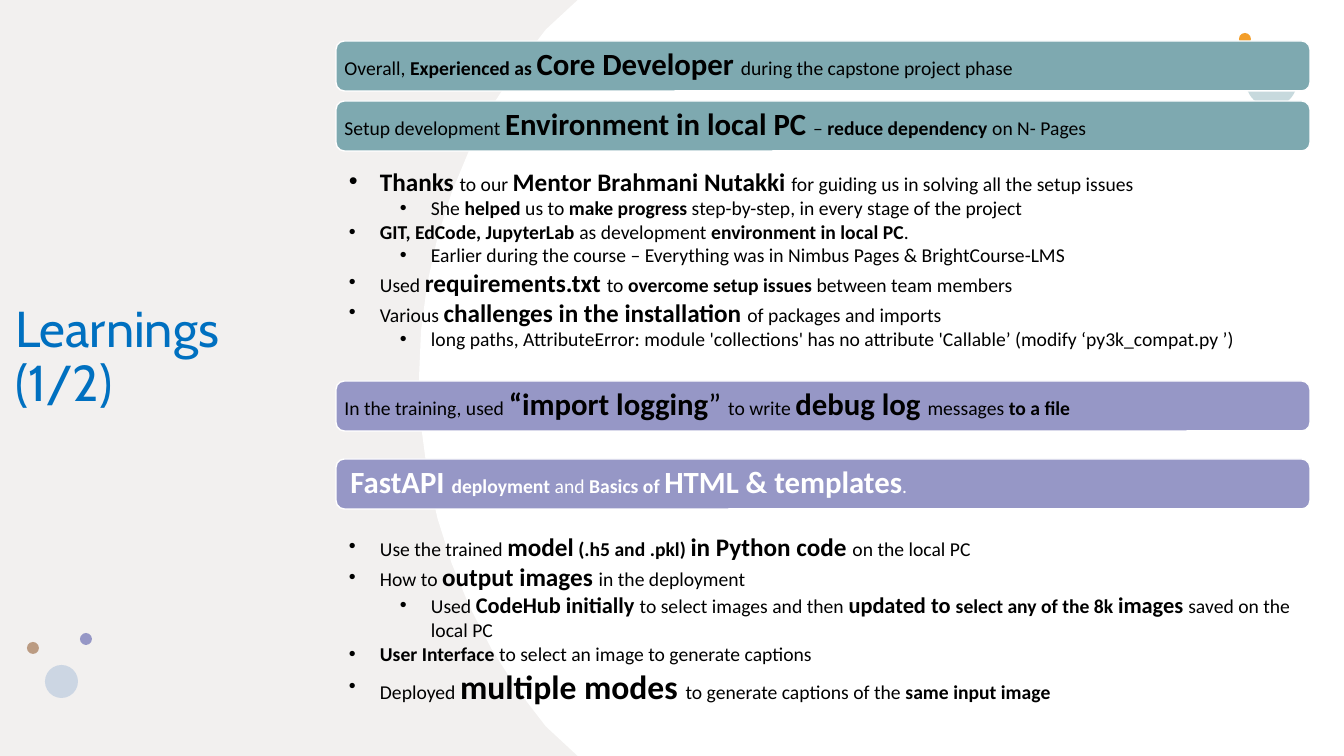
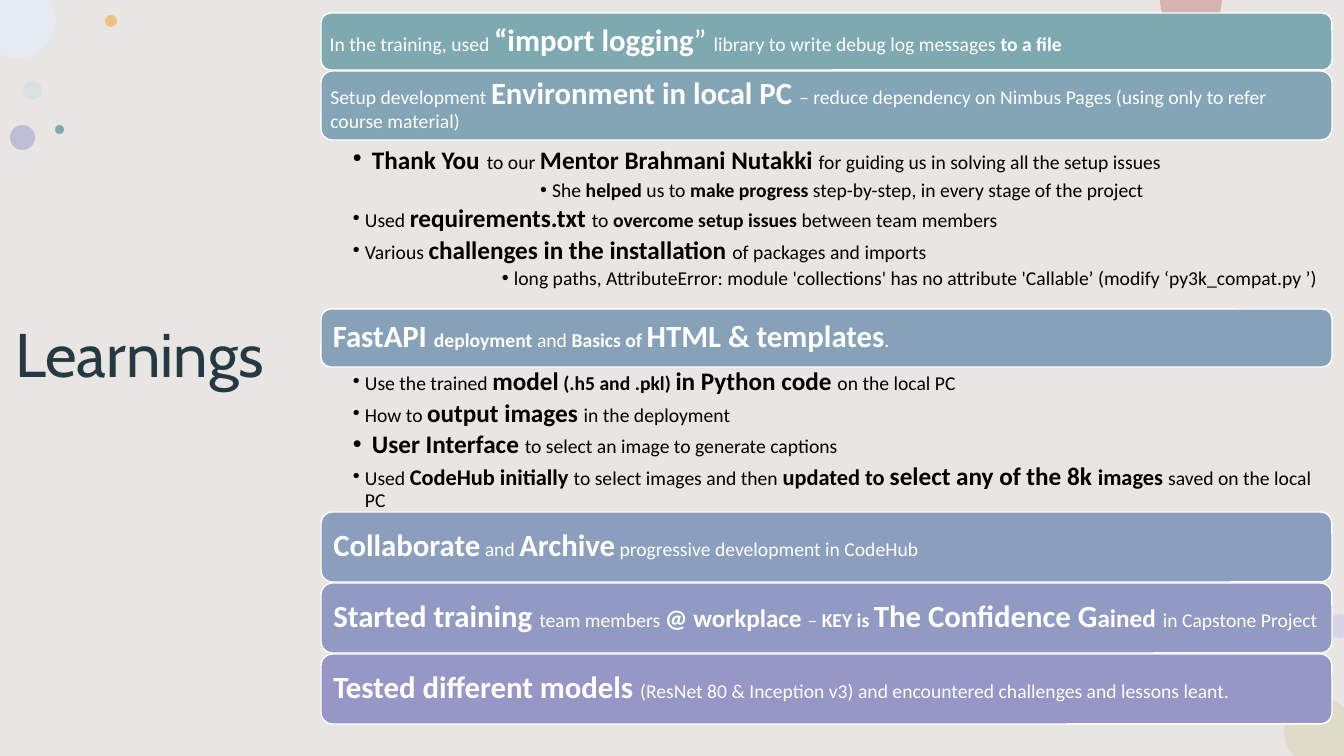
from math import cos, radians, sin

from lxml.etree import SubElement
from pptx import Presentation
from pptx.dml.color import RGBColor
from pptx.enum.shapes import MSO_SHAPE
from pptx.enum.text import MSO_ANCHOR, MSO_AUTO_SIZE, PP_ALIGN
from pptx.oxml.ns import qn
from pptx.util import Pt

COLORS = {
    "black": "000000", "white": "FFFFFF", "blue": "0070C0", "ink": "243941",
    "pale": "F2F0EF", "sand": "E8E5E2", "teal": "7EA9B0", "sea": "83A5B5",
    "steel": "87A1B9", "slate": "8C9EBE", "iris": "919AC2", "violet": "9697C6",
    "mist": "B2CBD0", "orange": "F39E29", "sky": "CCD6E3", "tan": "BB9B82",
    "foam": "CBDDDF", "ice": "E5EBF1", "rose": "D6B3B2", "lilac": "D5D5E8",
    "olive": "DEDBC8",
}
WIDTH, HEIGHT = 1344, 756


def plain(text, size=14):
    """Describe a regular run."""
    return text, size, False


def bold(text, size=14):
    """Describe a bold run."""
    return text, size, True


MENTOR = [plain("to our "), bold("Mentor Brahmani Nutakki ", 18),
          plain("for guiding us in solving all the setup issues")]
HELPED = [plain("She "), bold("helped"), plain(" us to "), bold("make progress"),
          plain(" step-by-step, in every stage of the project")]
REQUIREMENTS = [plain("Used "), bold("requirements.txt ", 18), plain("to "),
                bold("overcome setup issues "), plain("between team members")]
CHALLENGES = [plain("Various "), bold("challenges in the installation ", 18),
              plain("of packages and imports")]
LONG_PATHS = [plain("long paths, AttributeError: module 'collections' has no "
                    "attribute 'Callable’ (modify ‘py3k_compat.py ’)")]
LOGGING = [plain("In the training, used "), bold("“import logging", 22), plain("” ", 22)]
ENVIRONMENT = [plain("Setup development "), bold("Environment in local PC ", 22)]
FASTAPI = [bold("FastAPI ", 22), bold("deployment "), plain("and "), bold("Basics of "),
           bold("HTML & templates", 22), plain(".")]
MODEL = [plain("Use the trained "), bold("model", 18), bold(" (.h5 and .pkl) "),
         bold("in Python code ", 18), plain("on the local PC")]
OUTPUT = [plain("How to "), bold("output images ", 18), plain("in the deployment")]
CAPTIONS = plain("to select an image to generate captions")


def image_choice(size):
    """Return the image selection runs with the given emphasis size."""
    return [plain("Used "), bold("CodeHub initially ", 16),
            plain("to select images and then "), bold("updated to ", 16),
            bold("select any of the 8k ", size), bold("images ", 16),
            plain("saved on the local PC")]


class Deck:
    """Hold the shared style and the current slide."""

    EMU = 914400 / 100.8

    def __init__(self):
        """Start a presentation at the right size."""
        self.presentation = Presentation()
        self.presentation.slide_width = self.px(WIDTH)
        self.presentation.slide_height = self.px(HEIGHT)
        self.slide = None

    def px(self, *lengths):
        """Turn pixels into EMU."""
        values = [round(length * self.EMU) for length in lengths]
        return values if len(values) > 1 else values[0]

    def color(self, name):
        """Look up a colour."""
        return RGBColor.from_string(COLORS[name])

    def start(self, background, lines, size, color):
        """Add a slide with its background and title."""
        self.slide = self.presentation.slides.add_slide(self.presentation.slide_layouts[5])
        fill = self.slide.background.fill
        fill.solid()
        fill.fore_color.rgb = self.color(background)
        title = self.slide.shapes.title
        title.left, title.top, title.width, title.height = self.px(5, 74, 316, 568)
        frame = title.text_frame
        frame.auto_size = MSO_AUTO_SIZE.NONE
        frame.word_wrap = True
        frame.vertical_anchor = MSO_ANCHOR.MIDDLE
        paragraph = frame.paragraphs[0]
        paragraph.alignment = PP_ALIGN.LEFT
        paragraph.line_spacing = 0.9
        for index, line in enumerate(lines):
            if index:
                paragraph.add_line_break()
            self.run(paragraph, (line, size, False), color, "Cabin")

    def run(self, paragraph, content, color, font="Calibri"):
        """Add one formatted run."""
        text, size, strong = content
        run = paragraph.add_run()
        run.text = text
        run.font.name = font
        run.font.size = Pt(size)
        run.font.bold = strong
        run.font.color.rgb = self.color(color)

    def paint(self, shape, color, opacity=100):
        """Fill a shape without line or shadow."""
        shape.shadow.inherit = False
        shape.fill.solid()
        shape.fill.fore_color.rgb = self.color(color)
        shape.line.fill.background()
        if opacity < 100:
            shade = shape.element.spPr.find(".//" + qn("a:srgbClr"))
            SubElement(shade, qn("a:alpha"), val=str(opacity * 1000))

    def dot(self, left, top, size, color, opacity=100):
        """Draw a whole circle."""
        shape = self.slide.shapes.add_shape(MSO_SHAPE.OVAL, *self.px(left, top, size, size))
        self.paint(shape, color, opacity)

    def cropped_circle(self, x, y, radius, color, step=15):
        """Draw a circle cut off by the slide edges."""
        points = []
        for degree in range(0, 360, step):
            across = x + radius * cos(radians(degree))
            down = y + radius * sin(radians(degree))
            point = self.px(min(max(across, 0), WIDTH), min(max(down, 0), HEIGHT))
            if point not in points:
                points.append(point)
        builder = self.slide.shapes.build_freeform(*points[0], scale=1.0)
        builder.add_line_segments(points[1:], close=True)
        self.paint(builder.convert_to_shape(), color)

    def bar(self, box, fill, runs, color="white", inset=9):
        """Draw a rounded bar holding one paragraph."""
        shape = self.slide.shapes.add_shape(MSO_SHAPE.ROUNDED_RECTANGLE, *self.px(*box))
        self.paint(shape, fill)
        shape.line.color.rgb = self.color("white")
        shape.line.width = Pt(1)
        frame = shape.text_frame
        frame.word_wrap = True
        frame.vertical_anchor = MSO_ANCHOR.MIDDLE
        frame.margin_left = frame.margin_right = self.px(inset)
        frame.margin_top = frame.margin_bottom = self.px(6)
        paragraph = frame.paragraphs[0]
        paragraph.alignment = PP_ALIGN.LEFT
        paragraph.line_spacing = 0.9
        for content in runs:
            self.run(paragraph, content, color)

    def bullets(self, box, margins, items, spacing=1.0, after=0):
        """Write a bulleted list of (runs, level, indent, hanging, alignment)."""
        shape = self.slide.shapes.add_textbox(*self.px(*box))
        frame = shape.text_frame
        frame.word_wrap = True
        (frame.margin_left, frame.margin_top,
         frame.margin_right, frame.margin_bottom) = self.px(*margins)
        for index, (runs, level, indent, hanging, alignment) in enumerate(items):
            paragraph = frame.add_paragraph() if index else frame.paragraphs[0]
            paragraph.level = level
            paragraph.alignment = alignment
            paragraph.line_spacing = spacing
            paragraph.space_after = Pt(after)
            properties = paragraph._p.get_or_add_pPr()
            properties.set("marL", str(self.px(indent)))
            properties.set("indent", str(-self.px(hanging)))
            SubElement(properties, qn("a:buFont"), typeface="Arial")
            SubElement(properties, qn("a:buChar"), char="•")
            for content in runs:
                self.run(paragraph, content, "black")


def wide_item(runs, level=0):
    """Describe a bullet of the first slide."""
    return runs, level, 31 + 51 * level, 31, PP_ALIGN.LEFT


def tight_item(runs, hanging=12, level=1, indent=None, alignment=PP_ALIGN.LEFT):
    """Describe a bullet of the second slide."""
    return runs, level, indent or hanging, hanging, alignment


def build_first(deck):
    """Build the numbered learnings slide."""
    deck.start("pale", ["Learnings", "(1/2)"], 36, "blue")
    deck.cropped_circle(961, 378, 542, "white", 5)
    for dot in [(1246, 56, 51, "mist", 72), (1239, 33, 12, "orange"),
                (80, 633, 12, "violet"), (45, 665, 33, "sky"), (27, 642, 12, "tan")]:
        deck.dot(*dot)
    bars = [
        (41, "teal", [plain("Overall, "), bold("Experienced as "),
                      bold("Core Developer ", 22),
                      plain("during the capstone project phase")], "black", 6),
        (101, "teal", ENVIRONMENT + [plain("– "), bold("reduce dependency "),
                                     plain("on N- Pages")], "black", 6),
        (381, "violet", LOGGING + [plain("to write "), bold("debug log ", 22),
                                   plain("messages "), bold("to a file")], "black", 6),
        (459, "violet", FASTAPI, "white", 12),
    ]
    for top, fill, runs, color, inset in bars:
        deck.bar((336, top, 974, 50), fill, runs, color, inset)
    margins = (10, 5, 10, 5)
    deck.bullets((339, 161, 975, 197), margins, [
        wide_item([bold("Thanks ", 18)] + MENTOR),
        wide_item(HELPED, 1),
        wide_item([bold("GIT, EdCode, JupyterLab "), plain("as development "),
                   bold("environment in local PC"), plain(".")]),
        wide_item([plain("Earlier during the course – Everything was in "
                         "Nimbus Pages & BrightCourse-LMS")], 1),
        wide_item(REQUIREMENTS),
        wide_item(CHALLENGES),
        wide_item(LONG_PATHS, 1),
    ])
    deck.bullets((339, 526, 975, 186), margins, [
        wide_item(MODEL),
        wide_item(OUTPUT),
        wide_item(image_choice(14), 1),
        wide_item([bold("User Interface "), CAPTIONS]),
        wide_item([plain("Deployed "), bold("multiple modes ", 24),
                   plain("to generate captions of the "), bold("same input image")]),
    ])


def build_second(deck):
    """Build the learnings summary slide."""
    deck.start("sand", ["Learnings"], 44, "ink")
    for dot in [(23, 81, 19, "foam", 50), (105, 15, 12, "orange", 50),
                (10, 125, 25, "violet", 50), (55, 125, 9, "teal")]:
        deck.dot(*dot)
    for circle in [(1319, 732, 35, "olive"), (17, 20, 39, "ice"),
                   (1191, 1, 31, "rose"), (1340, 626, 12, "lilac")]:
        deck.cropped_circle(*circle)
    bars = [
        (13, 57, "teal", LOGGING + [plain("library to write debug log messages "),
                                    bold("to a file")], 6),
        (71, 69, "sea", ENVIRONMENT + [plain("– reduce dependency on Nimbus Pages "
                                             "(using only to refer course material)")], 6),
        (309, 58, "steel", FASTAPI, 9),
    ]
    closing = [
        ("slate", [bold("Collaborate", 22), plain(" and "), bold("Archive", 22),
                   plain(" progressive development in CodeHub")]),
        ("iris", [bold("Started training ", 22), plain("team members "),
                  bold("@ workplace ", 18), plain("– "), bold("KEY is "),
                  bold("The Confidence G", 22), bold("ained", 18), bold(" ", 22),
                  plain("in Capstone Project")]),
        ("violet", [bold("Tested different models ", 22),
                    plain("(ResNet 80 & Inception v3) and encountered challenges "
                          "and lessons leant.")]),
    ]
    bars += [(512 + 71 * index, 70, fill, runs, 9)
             for index, (fill, runs) in enumerate(closing)]
    for top, height, fill, runs, inset in bars:
        deck.bar((321, top, 1011, height), fill, runs, inset=inset)
    deck.bullets((321, 140, 1011, 168), (32, 3, 14, 3), [
        tight_item([bold("Thank You", 18), bold(" ", 22)] + MENTOR, 19),
        tight_item(HELPED, level=2, indent=25, alignment=PP_ALIGN.CENTER),
        tight_item(REQUIREMENTS),
        tight_item(CHALLENGES),
        tight_item(LONG_PATHS, alignment=PP_ALIGN.RIGHT),
    ], 0.9, 3)
    deck.bullets((321, 367, 1011, 145), (32, 2, 11, 2), [
        tight_item(MODEL),
        tight_item(OUTPUT),
        tight_item([bold("User Interface ", 18), CAPTIONS], 19),
        tight_item(image_choice(18)),
    ], 0.9, 3)


def main():
    """Build and save the presentation."""
    deck = Deck()
    build_first(deck)
    build_second(deck)
    deck.presentation.save("out.pptx")


if __name__ == "__main__":
    main()
